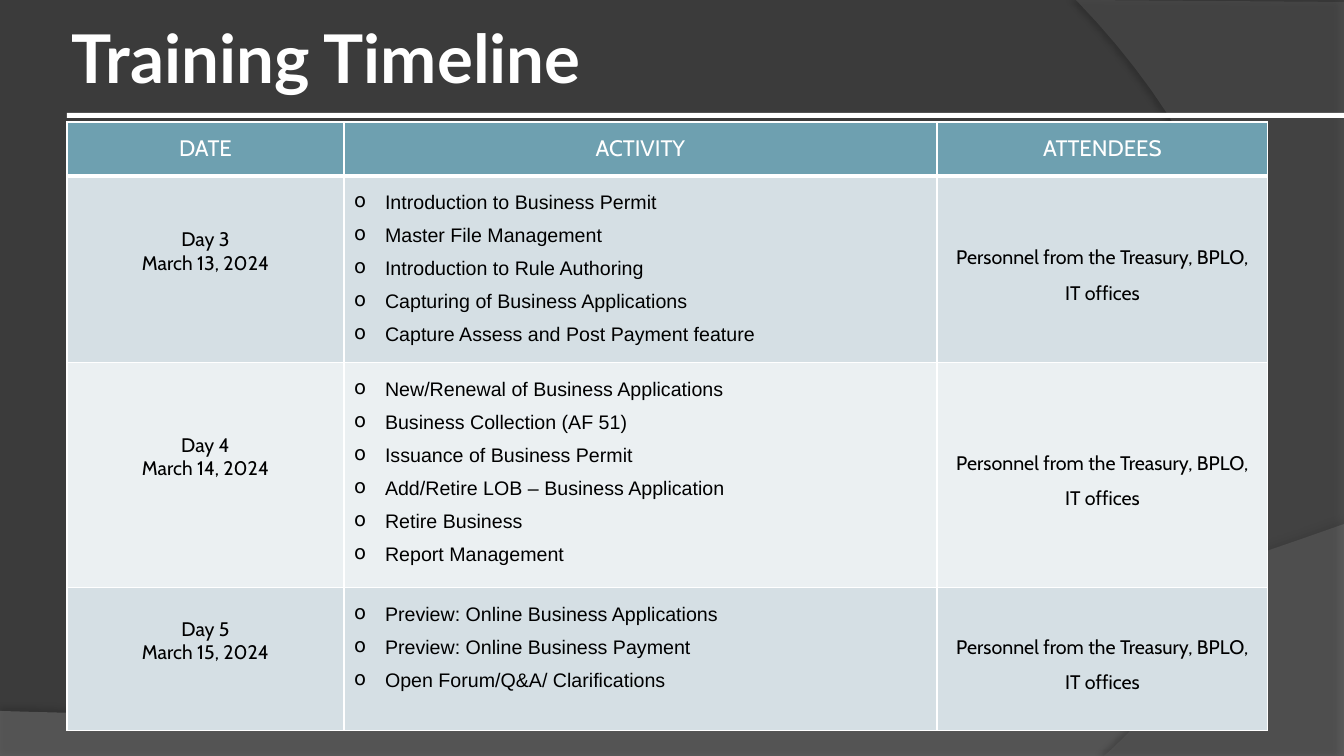
"""Build the Training Timeline slide."""
from lxml.etree import SubElement
from pptx import Presentation
from pptx.dml.color import RGBColor
from pptx.enum.shapes import MSO_SHAPE
from pptx.enum.text import MSO_ANCHOR, PP_ALIGN
from pptx.oxml import parse_xml
from pptx.oxml.ns import nsdecls, qn
from pptx.util import Pt

PX = 914400 / 100.8
DARK = RGBColor(0x3B, 0x3B, 0x3B)
GREY = RGBColor(0x7F, 0x7F, 0x7F)
SLATE = RGBColor(0x5E, 0x5E, 0x5E)
WHITE = RGBColor(0xFF, 0xFF, 0xFF)
BLACK = RGBColor(0, 0, 0)
TEAL = RGBColor(0x6E, 0xA0, 0xB0)
BANDS = RGBColor(0xD5, 0xDF, 0xE4), RGBColor(0xEB, 0xF0, 0xF2)

COLUMNS = 277, 593, 331
ROWS = 54, 184, 225, 143
HEADERS = "DATE", "ACTIVITY", "ATTENDEES"
ATTENDEES = "Personnel from the Treasury, BPLO, IT offices"
DAYS = [
    (("Day 3", "March 13, 2024"), (
        "Introduction to Business Permit",
        "Master File Management",
        "Introduction to Rule Authoring",
        "Capturing of Business Applications",
        "Capture Assess and Post Payment feature")),
    (("Day 4", "March 14, 2024"), (
        "New/Renewal of Business Applications",
        "Business Collection (AF 51)",
        "Issuance of Business Permit",
        "Add/Retire LOB – Business Application",
        "Retire Business",
        "Report Management")),
    (("Day 5", "March 15, 2024"), (
        "Preview: Online Business Applications",
        "Preview: Online Business Payment",
        "Open Forum/Q&A/ Clarifications")),
]


def px(n):
    """Turn pixels into EMU."""
    return round(n * PX)


def bezier(p0, p1, p2, p3, steps=40):
    """Return points along a cubic curve, without its start."""
    points = []
    for i in range(1, steps + 1):
        t = i / steps
        u = 1 - t
        points.append(tuple(
            u**3 * a + 3 * u * u * t * b + 3 * u * t * t * c + t**3 * d
            for a, b, c, d in zip(p0, p1, p2, p3)))
    return points


def add_swoosh(slide, corners, curve, color, alpha, shadow_alpha, distance, angle):
    """Add a translucent curved background panel with a soft shadow."""
    points = corners + bezier(corners[-1], *curve)
    builder = slide.shapes.build_freeform(*map(px, points[0]), scale=1.0)
    builder.add_line_segments([(px(x), px(y)) for x, y in points[1:]], close=True)
    s = builder.convert_to_shape()
    s.line.fill.background()
    s.fill.solid()
    s.fill.fore_color.rgb = color
    rgb = s.element.spPr.find(qn("a:solidFill")).find(qn("a:srgbClr"))
    SubElement(rgb, qn("a:alpha"), val=str(alpha * 1000))
    s.shadow.inherit = False
    effects = s.element.spPr.find(qn("a:effectLst"))
    shadow = SubElement(effects, qn("a:outerShdw"), blurRad=str(Pt(4)),
                        dist=str(Pt(distance)), dir=str(angle * 60000),
                        algn="ctr", rotWithShape="0")
    black = SubElement(shadow, qn("a:srgbClr"), val="000000")
    SubElement(black, qn("a:alpha"), val=str(shadow_alpha * 1000))


def add_rule(slide, x, y, w, h):
    """Add the white bar under the title."""
    s = slide.shapes.add_shape(MSO_SHAPE.RECTANGLE, px(x), px(y), px(w), px(h))
    s.shadow.inherit = False
    s.fill.solid()
    s.fill.fore_color.rgb = WHITE
    s.line.fill.background()


def style(p, size, font, color, align=PP_ALIGN.CENTER, spacing=None):
    """Set the font and layout of a paragraph."""
    p.font.size = Pt(size)
    p.font.name = font
    p.font.color.rgb = color
    p.alignment = align
    p.line_spacing = spacing


def add_title(slide, text, x, y, w, h):
    """Add the slide title."""
    tf = slide.shapes.add_textbox(px(x), px(y), px(w), px(h)).text_frame
    tf.word_wrap = True
    tf.vertical_anchor = MSO_ANCHOR.MIDDLE
    tf.margin_left = tf.margin_right = tf.margin_top = tf.margin_bottom = px(5)
    p = tf.paragraphs[0]
    p.text = text
    style(p, 48, "Lato", WHITE, PP_ALIGN.LEFT)
    p.font.bold = True


def add_bullet(p):
    """Give a paragraph a hanging round bullet."""
    pPr = p._p.get_or_add_pPr()
    pPr.set("marL", str(px(31)))
    pPr.set("indent", str(px(-31)))
    bullet = parse_xml(f'<a:buChar {nsdecls("a")} char="o"/>')
    pPr.insert_element_before(bullet, "a:tabLst", "a:defRPr", "a:extLst")


def set_borders(cell, top, bottom):
    """Draw white borders around a cell, with widths in points."""
    tcPr = cell._tc.get_or_add_tcPr()
    sides = {"lnL": 1, "lnR": 1, "lnT": top, "lnB": bottom}
    for i, (side, width) in enumerate(sides.items()):
        tcPr.insert(i, parse_xml(
            f'<a:{side} {nsdecls("a")} w="{Pt(width)}"><a:solidFill>'
            f'<a:srgbClr val="{WHITE}"/></a:solidFill></a:{side}>'))


def fill_cell(cell, lines, fill, size, font, color, spacing=None, bullets=False):
    """Write lines into a filled cell."""
    cell.fill.solid()
    cell.fill.fore_color.rgb = fill
    cell.vertical_anchor = MSO_ANCHOR.TOP if bullets else MSO_ANCHOR.MIDDLE
    cell.text = "\n".join(lines)
    for p in cell.text_frame.paragraphs:
        style(p, size, font, color,
              PP_ALIGN.LEFT if bullets else PP_ALIGN.CENTER, spacing)
        if bullets:
            add_bullet(p)


def add_timeline(slide, x, y):
    """Add the table of training days."""
    table = slide.shapes.add_table(len(ROWS), len(COLUMNS), px(x), px(y),
                                   px(sum(COLUMNS)), px(sum(ROWS))).table
    table.first_row = table.horz_banding = False
    for column, width in zip(table.columns, COLUMNS):
        column.width = px(width)
    for row, height in zip(table.rows, ROWS):
        row.height = px(height)
    for cell, header in zip(table.rows[0].cells, HEADERS):
        fill_cell(cell, [header], TEAL, 16, "Cabin", WHITE)
        set_borders(cell, 1, 3)
    for i, (date, activities) in enumerate(DAYS):
        cells = list(table.rows[i + 1].cells)
        band = BANDS[i % 2]
        fill_cell(cells[0], date, band, 14, "Cabin", BLACK)
        cells[0].margin_bottom = px(41)
        fill_cell(cells[1], activities, band, 14, "Arial", BLACK, 1.5, True)
        fill_cell(cells[2], [ATTENDEES], band, 14, "Cabin", BLACK, 1.5)
        for cell in cells:
            set_borders(cell, 1 if i else 3, 1)


def main():
    """Build and save the slide."""
    prs = Presentation()
    prs.slide_width, prs.slide_height = px(1344), px(756)
    slide = prs.slides.add_slide(prs.slide_layouts[6])
    slide.background.fill.solid()
    slide.background.fill.fore_color.rgb = DARK
    add_swoosh(slide, [(0, 711), (0, 757), (1344, 757), (1344, 524)],
               [(751, 735), (525, 725), (0, 711)], GREY, 45, 35, 3.5, 270)
    add_swoosh(slide, [(1344, 2), (1344, 756), (1104, 756)],
               [(1256, 624), (1368, 302), (1076, 0)], SLATE, 40, 45, 4, 180)
    add_rule(slide, 67, 113, 1277, 5)
    add_title(slide, "Training Timeline", 67, 5, 1201, 104)
    add_timeline(slide, 67, 122)
    prs.save("out.pptx")


if __name__ == "__main__":
    main()
